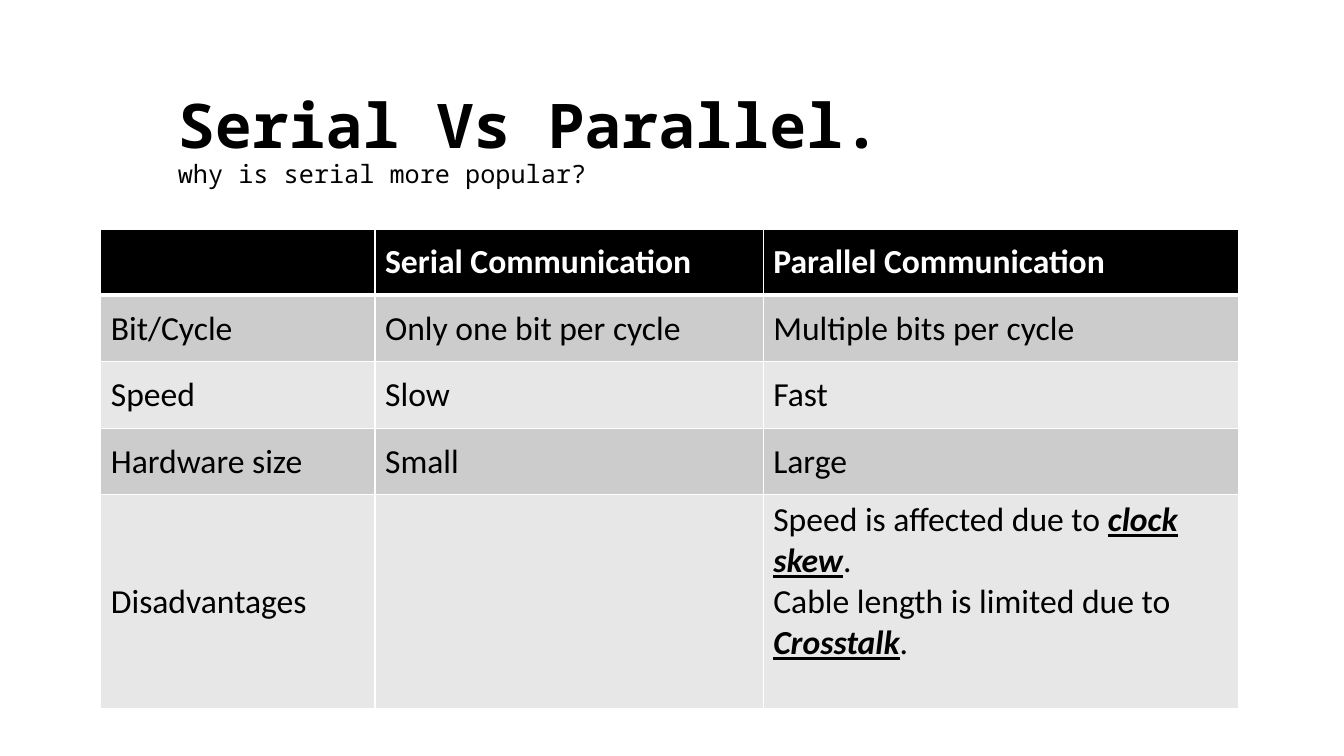
import pptx
import pptx.dml.color
import pptx.enum.text
import pptx.oxml
import pptx.oxml.ns
import pptx.util

RGBColor = pptx.dml.color.RGBColor
Inches = pptx.util.Inches
Pt = pptx.util.Pt
MIDDLE = pptx.enum.text.MSO_ANCHOR.MIDDLE

BLACK = RGBColor(0x00, 0x00, 0x00)
WHITE = RGBColor(0xFF, 0xFF, 0xFF)
DARK_BAND = RGBColor(0xCC, 0xCC, 0xCC)
LIGHT_BAND = RGBColor(0xE7, 0xE7, 0xE7)

SLIDE_WIDTH, SLIDE_HEIGHT = Inches(13.33), Inches(7.5)
TITLE_FONT, TABLE_FONT = "Noto Sans Mono", "Calibri"
TABLE_LEFT, TABLE_TOP = 1, 2.28
COLUMN_WIDTHS = [2.72, 3.85, 4.72]
ROW_HEIGHTS = [0.65] + [0.66] * 3 + [2.12]

# A cell is a list of paragraphs; a paragraph is a list of (text, is key term).
DRAWBACKS = [
    [("Speed is affected due to ", False), ("clock skew", True), (".", False)],
    [("Cable length is limited due to ", False), ("Crosstalk", True), (".", False)],
]


def plain(text):
    return [[(text, False)]] if text else []


COMPARISON = [
    [plain(""), plain("Serial Communication"), plain("Parallel Communication")],
    [plain("Bit/Cycle"), plain("Only one bit per cycle"), plain("Multiple bits per cycle")],
    [plain("Speed"), plain("Slow"), plain("Fast")],
    [plain("Hardware size"), plain("Small"), plain("Large")],
    [plain("Disadvantages"), plain(""), DRAWBACKS],
]


def add_run(paragraph, text, font_name, size, color, bold=False):
    run = paragraph.add_run()
    run.text = text
    run.font.name = font_name
    run.font.size = Pt(size)
    run.font.color.rgb = color
    run.font.bold = bold
    return run


def add_title(slide, heading, question):
    box = slide.shapes.add_textbox(
        int(SLIDE_WIDTH / 8), int(SLIDE_HEIGHT / 15),
        int(SLIDE_WIDTH * 0.75), int(SLIDE_HEIGHT * 0.19))
    frame = box.text_frame
    frame.word_wrap = True
    frame.vertical_anchor = pptx.enum.text.MSO_ANCHOR.BOTTOM
    paragraph = frame.paragraphs[0]
    paragraph.line_spacing = 0.9
    add_run(paragraph, heading, TITLE_FONT, 44, BLACK, bold=True)
    paragraph.add_line_break()
    add_run(paragraph, question, TITLE_FONT, 18, BLACK)


def set_borders(cell, bottom_width):
    properties = cell._tc.get_or_add_tcPr()
    widths = {"lnL": 1, "lnR": 1, "lnT": 1, "lnB": bottom_width}
    for position, (side, width) in enumerate(widths.items()):
        border = pptx.oxml.parse_xml(
            f'<a:{side} {pptx.oxml.ns.nsdecls("a")} w="{Pt(width)}"><a:solidFill>'
            f'<a:srgbClr val="{WHITE}"/></a:solidFill></a:{side}>')
        properties.insert(position, border)


def fill_cell(cell, paragraphs, fill, color, is_header):
    cell.fill.solid()
    cell.fill.fore_color.rgb = fill
    cell.vertical_anchor = MIDDLE
    set_borders(cell, 3 if is_header else 1)
    for index, runs in enumerate(paragraphs):
        frame = cell.text_frame
        paragraph = frame.paragraphs[0] if index == 0 else frame.add_paragraph()
        for text, is_key_term in runs:
            run = add_run(paragraph, text, TABLE_FONT, 24, color, is_header or is_key_term)
            run.font.italic = run.font.underline = is_key_term


def add_comparison_table(slide):
    table = slide.shapes.add_table(
        len(ROW_HEIGHTS), len(COLUMN_WIDTHS), Inches(TABLE_LEFT), Inches(TABLE_TOP),
        Inches(sum(COLUMN_WIDTHS)), Inches(sum(ROW_HEIGHTS))).table
    for column, width in zip(table.columns, COLUMN_WIDTHS):
        column.width = Inches(width)
    for index, (row, height, contents) in enumerate(zip(table.rows, ROW_HEIGHTS, COMPARISON)):
        row.height = Inches(height)
        is_header = index == 0
        band = DARK_BAND if index % 2 else LIGHT_BAND
        for cell, paragraphs in zip(row.cells, contents):
            fill_cell(cell, paragraphs, BLACK if is_header else band,
                      WHITE if is_header else BLACK, is_header)
    # The drawbacks sit above the middle of their tall cell.
    table.cell(len(ROW_HEIGHTS) - 1, len(COLUMN_WIDTHS) - 1).margin_bottom = Inches(0.45)


def main():
    presentation = pptx.Presentation()
    presentation.slide_width, presentation.slide_height = SLIDE_WIDTH, SLIDE_HEIGHT
    slide = presentation.slides.add_slide(presentation.slide_layouts[6])
    add_title(slide, "Serial Vs Parallel.", "why is serial more popular?")
    add_comparison_table(slide)
    presentation.save("out.pptx")


if __name__ == "__main__":
    main()
